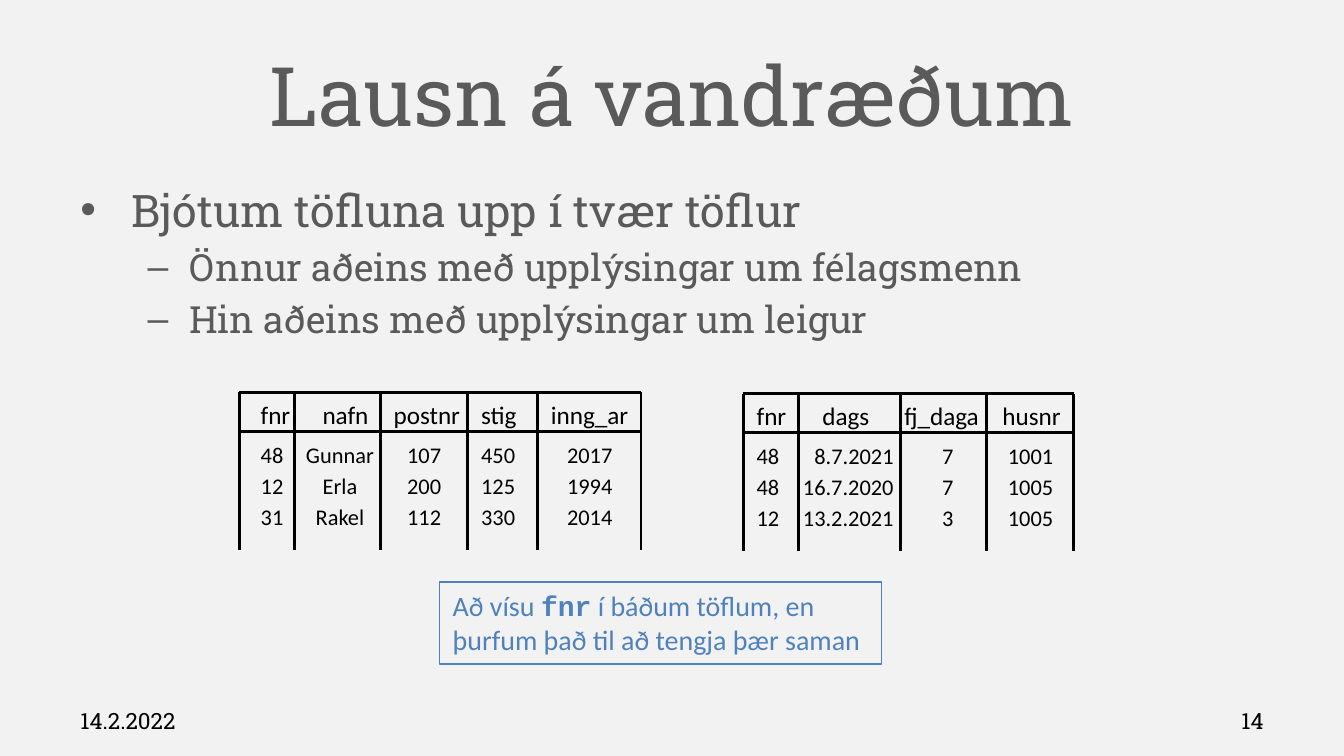
from itertools import accumulate

from lxml import etree
from pptx import Presentation
from pptx.dml.color import RGBColor
from pptx.enum.shapes import MSO_CONNECTOR, MSO_SHAPE
from pptx.enum.text import MSO_ANCHOR, MSO_AUTO_SIZE, PP_ALIGN
from pptx.oxml.ns import qn
from pptx.util import Inches, Pt

LEFT, MID, RIGHT = PP_ALIGN.LEFT, PP_ALIGN.CENTER, PP_ALIGN.RIGHT
TOP, HALF = MSO_ANCHOR.TOP, MSO_ANCHOR.MIDDLE
RECT, GROW = MSO_SHAPE.RECTANGLE, MSO_AUTO_SIZE.SHAPE_TO_FIT_TEXT
STRAIGHT = MSO_CONNECTOR.STRAIGHT

# Content
TITLE = "Lausn á vandræðum"
POINTS = [
    (0, "Bjótum töfluna upp í tvær töflur"),
    (1, "Önnur aðeins með upplýsingar um félagsmenn"),
    (1, "Hin aðeins með upplýsingar um leigur"),
]
# Columns: name, width, head inset, body alignment, body inset
TABLES = [
    {"at": (1.78, 2.92),
     "cols": [("fnr", 0.41, 0.16, LEFT, 0.16), ("nafn", 0.64, 0.21, MID, 0.04),
              ("postnr", 0.65, 0.1, LEFT, 0.2), ("stig", 0.52, 0.1, LEFT, 0.1),
              ("inng_ar", 0.77, 0.1, LEFT, 0.22)],
     "rows": [("48", "Gunnar", "107", "450", "2017"),
              ("12", "Erla", "200", "125", "1994"),
              ("31", "Rakel", "112", "330", "2014")]},
    {"at": (5.53, 2.93),
     "cols": [("fnr", 0.41, 0.1, LEFT, 0.1), ("dags", 0.76, 0.18, RIGHT, 0.05),
              ("fj_daga", 0.64, 0.03, LEFT, 0.31), ("husnr", 0.65, 0.12, LEFT, 0.16)],
     "rows": [("48", "8.7.2021", "7", "1001"),
              ("48", "16.7.2020", "7", "1005"),
              ("12", "13.2.2021", "3", "1005")]},
]
NOTE = [("Að vísu ", "note"), ("fnr", "code"),
        (" í báðum töflum, en þurfum það til að tengja þær saman", "note")]
DATE, PAGE = "14.2.2022", "14"

# Theme: type styles as font, size, colour, bold
THEME = {
    "back": "F2F2F2", "rule": "000000", "frame": "4F81BD",
    "title": ("Roboto Slab", 44, "5A5A5A", False),
    "level": [("Roboto Slab", 24, "5A5A5A", False), ("Roboto Slab", 20, "5A5A5A", False)],
    "head": ("Calibri", 13.5, "000000", False),
    "cell": ("Calibri", 12, "000000", False),
    "note": ("Calibri", 15, "4F81BD", False),
    "code": ("Courier New", 15, "4F81BD", True),
    "foot": ("Roboto Slab", 12, "000000", False),
}
BULLETS = [("•", 0.38, 0.38), ("–", 0.81, 0.31)]
W, H = 10, 10 * 9 / 16
EDGE = 0.05 * W
HEIGHTS = [0.29, 0.28, 0.24, 0.36]
PADS = [0.06, 0.08, 0.03, 0.02]


def assign(item, **values):
    for name, value in values.items():
        setattr(item, name, value)


def write(para, text, style):
    face, size, tint, bold = style
    run = para.add_run()
    run.text = text
    assign(run.font, name=face, size=Pt(size), bold=bold)
    run.font.color.rgb = RGBColor.from_string(tint)


def add_box(x, y, w, h, anchor=TOP):
    frame = slide.shapes.add_textbox(*map(Inches, (x, y, w, h))).text_frame
    assign(frame, word_wrap=True, vertical_anchor=anchor)
    return frame


def add_line(x, y, w, h, text, style, align):
    para = add_box(x, y, w, h, HALF).paragraphs[0]
    para.alignment = align
    write(para, text, style)


def add_bullet(para, level):
    mark, left, hang = BULLETS[level]
    props = para._p.get_or_add_pPr()
    props.set("marL", str(Inches(left)))
    props.set("indent", str(-Inches(hang)))
    etree.SubElement(props, qn("a:buFont")).set("typeface", "Arial")
    etree.SubElement(props, qn("a:buChar")).set("char", mark)


def add_rule(*ends):
    rule = slide.shapes.add_connector(STRAIGHT, *map(Inches, ends))
    rule.line.width = Pt(1.5)
    rule.line.color.rgb = RGBColor.from_string(THEME["rule"])
    etree.SubElement(rule._element.spPr, qn("a:effectLst"))


def clear(cell):
    props = cell._tc.get_or_add_tcPr()
    for side in "LRTB":
        line = etree.SubElement(props, qn("a:ln" + side))
        etree.SubElement(line, qn("a:noFill"))
    cell.fill.background()


def add_grid(at, cols, rows):
    lines = [[col[0] for col in cols], *rows]
    x, y = at
    wide, tall = sum(col[1] for col in cols), sum(HEIGHTS)
    size = map(Inches, (x, y, wide, tall))
    grid = slide.shapes.add_table(len(lines), len(cols), *size).table
    assign(grid, first_row=False, horz_banding=False)
    for c, col in enumerate(cols):
        grid.columns[c].width = Inches(col[1])
    for r, line in enumerate(lines):
        grid.rows[r].height = Inches(HEIGHTS[r])
        for c, text in enumerate(line):
            _, _, inset, align, shift = cols[c]
            if r == 0:
                align = LEFT
            else:
                inset = shift
            cell = grid.cell(r, c)
            clear(cell)
            assign(cell, margin_top=Inches(PADS[r]), margin_bottom=0,
                   margin_left=0 if align == RIGHT else Inches(inset),
                   margin_right=Inches(inset) if align == RIGHT else 0,
                   vertical_anchor=TOP)
            para = cell.text_frame.paragraphs[0]
            para.alignment = align
            write(para, text, THEME["cell" if r else "head"])
    # Rules above and below the head, and between columns, open at the foot
    for level in (y, y + HEIGHTS[0]):
        add_rule(x, level, x + wide, level)
    for side in accumulate((col[1] for col in cols), initial=x):
        add_rule(side, y + tall, side, y)


deck = Presentation()
assign(deck, slide_width=Inches(W), slide_height=Inches(H))
slide = deck.slides.add_slide(deck.slide_layouts[6])
slide.background.fill.solid()
slide.background.fill.fore_color.rgb = RGBColor.from_string(THEME["back"])

# Title and bullet points
add_line(EDGE, 0.23, W - 2 * EDGE, 0.94, TITLE, THEME["title"], MID)
body = add_box(EDGE, 1.31, W - 2 * EDGE, 3.71)
for i, (level, text) in enumerate(POINTS):
    para = body.add_paragraph() if i else body.paragraphs[0]
    assign(para, level=level, space_before=Pt(4 if i else 0))
    add_bullet(para, level)
    write(para, text, THEME["level"][level])

# The two tables
for table in TABLES:
    add_grid(**table)

# Framed note
note = slide.shapes.add_shape(RECT, *map(Inches, (3.27, 4.33, 3.29, 0.61)))
note.shadow.inherit = False
note.fill.background()
note.line.width = Pt(0.75)
note.line.color.rgb = RGBColor.from_string(THEME["frame"])
assign(note.text_frame, word_wrap=True, vertical_anchor=TOP, auto_size=GROW)
para = note.text_frame.paragraphs[0]
para.alignment = LEFT
for text, style in NOTE:
    write(para, text, THEME[style])

# Footer
FOOT = 2.33
for x, text, align in [(EDGE, DATE, LEFT), (W - EDGE - FOOT, PAGE, RIGHT)]:
    add_line(x, 5.21, FOOT, 0.3, text, THEME["foot"], align)

deck.save("out.pptx")
